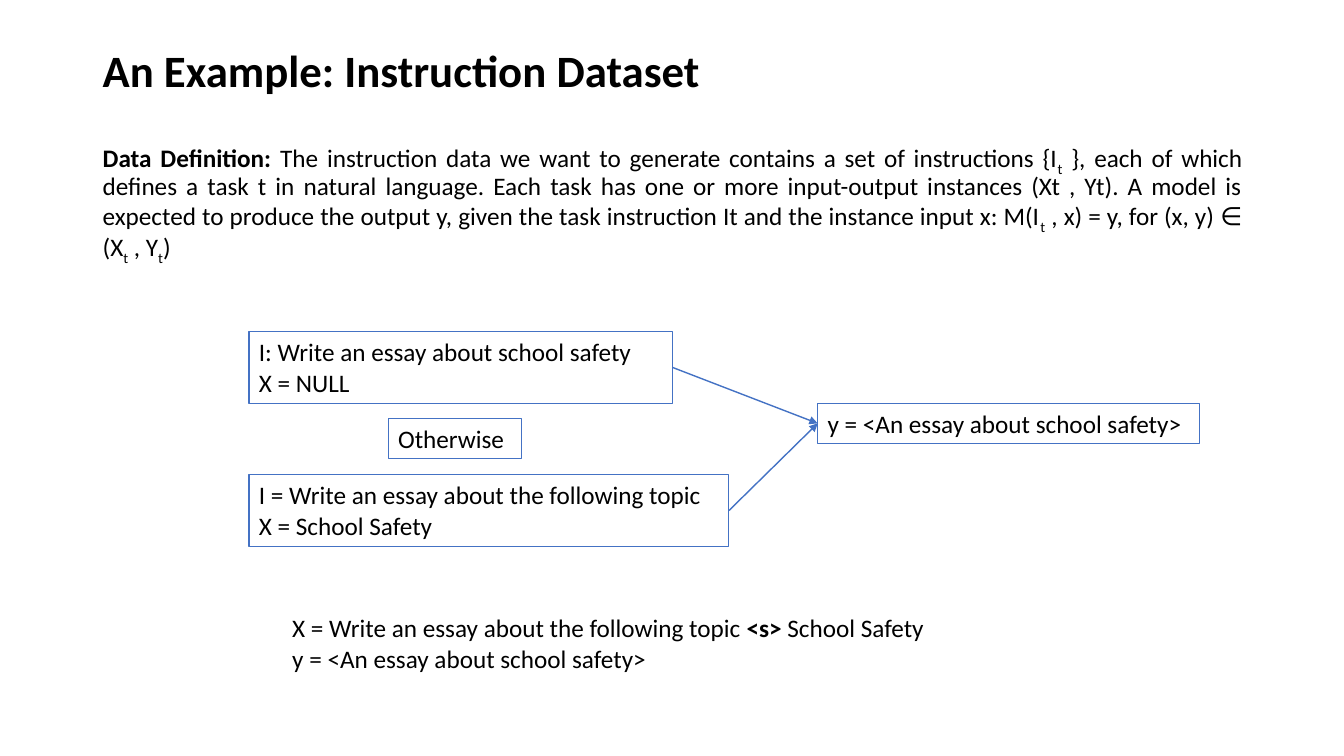
import pptx
import pptx.util
import pptx.dml.color
import pptx.enum.shapes
import pptx.enum.text
import pptx.oxml
import pptx.oxml.ns

Inches = pptx.util.Inches
Pt = pptx.util.Pt
ALIGN = pptx.enum.text.PP_ALIGN
ANCHOR = pptx.enum.text.MSO_ANCHOR

BLACK = pptx.dml.color.RGBColor(0x00, 0x00, 0x00)
BLUE = pptx.dml.color.RGBColor(0x44, 0x72, 0xC4)

TITLE = [[("An Example: Instruction Dataset", "bold")]]
DEFINITION = [[
    ("Data Definition: ", "bold"),
    ("The instruction data we want to generate contains a set of instructions {I", "plain"),
    ("t", "sub"),
    (" }, each of which defines a task t in natural language. Each task has one or more "
     "input-output instances (Xt , Yt). A model is expected to produce the output y, given "
     "the task instruction It and the instance input x: M(I", "plain"),
    ("t", "sub"),
    (" , x) = y, for (x, y) ∈ (X", "plain"),
    ("t", "sub"),
    (" , Y", "plain"),
    ("t", "sub"),
    (")", "plain"),
]]
ENCODING = [
    [("X = Write an essay about the following topic ", "plain"), ("<s> ", "bold"),
     ("School Safety", "plain")],
    [("y = <An essay about school safety>", "plain")],
]

TEXTS = [
    (TITLE, (0.92, 0.4, 11.5, 0.64), 32, ANCHOR.MIDDLE, {"line_spacing": 0.9}),
    (DEFINITION, (0.92, 1.37, 11.5, 1.41), 18, ANCHOR.TOP,
     {"line_spacing": 0.9, "space_before": Pt(10), "alignment": ALIGN.JUSTIFY}),
    (ENCODING, (2.8, 6.03, 6.59, 0.71), 18, ANCHOR.TOP, {}),
]

BOXES = {
    "instruction only": (["I: Write an essay about school safety", "X = NULL"],
                         (2.47, 3.29, 4.2, 0.71)),
    "instruction and input": (["I = Write an essay about the following topic",
                               "X = School Safety"], (2.47, 4.71, 4.76, 0.71)),
    "output": (["y = <An essay about school safety>"], (8.11, 4, 3.79, 0.4)),
    "otherwise": (["Otherwise"], (3.85, 4.15, 1.32, 0.4)),
}
ARROWS = [("instruction only", "output"), ("instruction and input", "output")]
RIGHT_SIDE, LEFT_SIDE = 3, 1


def write(frame, paragraphs, size, anchor, paragraph_format):
    frame.word_wrap = True
    frame.vertical_anchor = anchor
    for index, runs in enumerate(paragraphs):
        paragraph = frame.paragraphs[0] if index == 0 else frame.add_paragraph()
        for name, value in {"alignment": ALIGN.LEFT, **paragraph_format}.items():
            setattr(paragraph, name, value)
        for text, style in runs:
            run = paragraph.add_run()
            run.text = text
            font_format = {"name": "Calibri", "size": Pt(size), "bold": style == "bold"}
            for name, value in font_format.items():
                setattr(run.font, name, value)
            run.font.color.rgb = BLACK
            if style == "sub":
                run.font._element.set("baseline", "-25000")


def add_box(slide, lines, place):
    box = slide.shapes.add_shape(pptx.enum.shapes.MSO_SHAPE.RECTANGLE, *map(Inches, place))
    box.shadow.inherit = False
    box.fill.background()
    box.line.color.rgb = BLUE
    box.line.width = Pt(0.75)
    write(box.text_frame, [[(line, "plain")] for line in lines], 18, ANCHOR.TOP, {})
    return box


def add_arrow(slide, source, target):
    arrow = slide.shapes.add_connector(pptx.enum.shapes.MSO_CONNECTOR.STRAIGHT, 0, 0, 0, 0)
    arrow.begin_connect(source, RIGHT_SIDE)
    arrow.end_connect(target, LEFT_SIDE)
    arrow.line.color.rgb = BLUE
    arrow.line.width = Pt(1)
    head = pptx.oxml.parse_xml(
        "<a:tailEnd %s type='triangle'/>" % pptx.oxml.ns.nsdecls("a"))
    arrow.line._get_or_add_ln().append(head)
    arrow._element.spPr.append(
        pptx.oxml.parse_xml("<a:effectLst %s/>" % pptx.oxml.ns.nsdecls("a")))


def main():
    deck = pptx.Presentation()
    deck.slide_width, deck.slide_height = Inches(13.33), Inches(7.5)
    slide = deck.slides.add_slide(deck.slide_layouts[6])
    for paragraphs, place, size, anchor, paragraph_format in TEXTS:
        frame = slide.shapes.add_textbox(*map(Inches, place)).text_frame
        write(frame, paragraphs, size, anchor, paragraph_format)
    boxes = {role: add_box(slide, *content) for role, content in BOXES.items()}
    for source, target in ARROWS:
        add_arrow(slide, boxes[source], boxes[target])
    deck.save("out.pptx")


if __name__ == "__main__":
    main()
